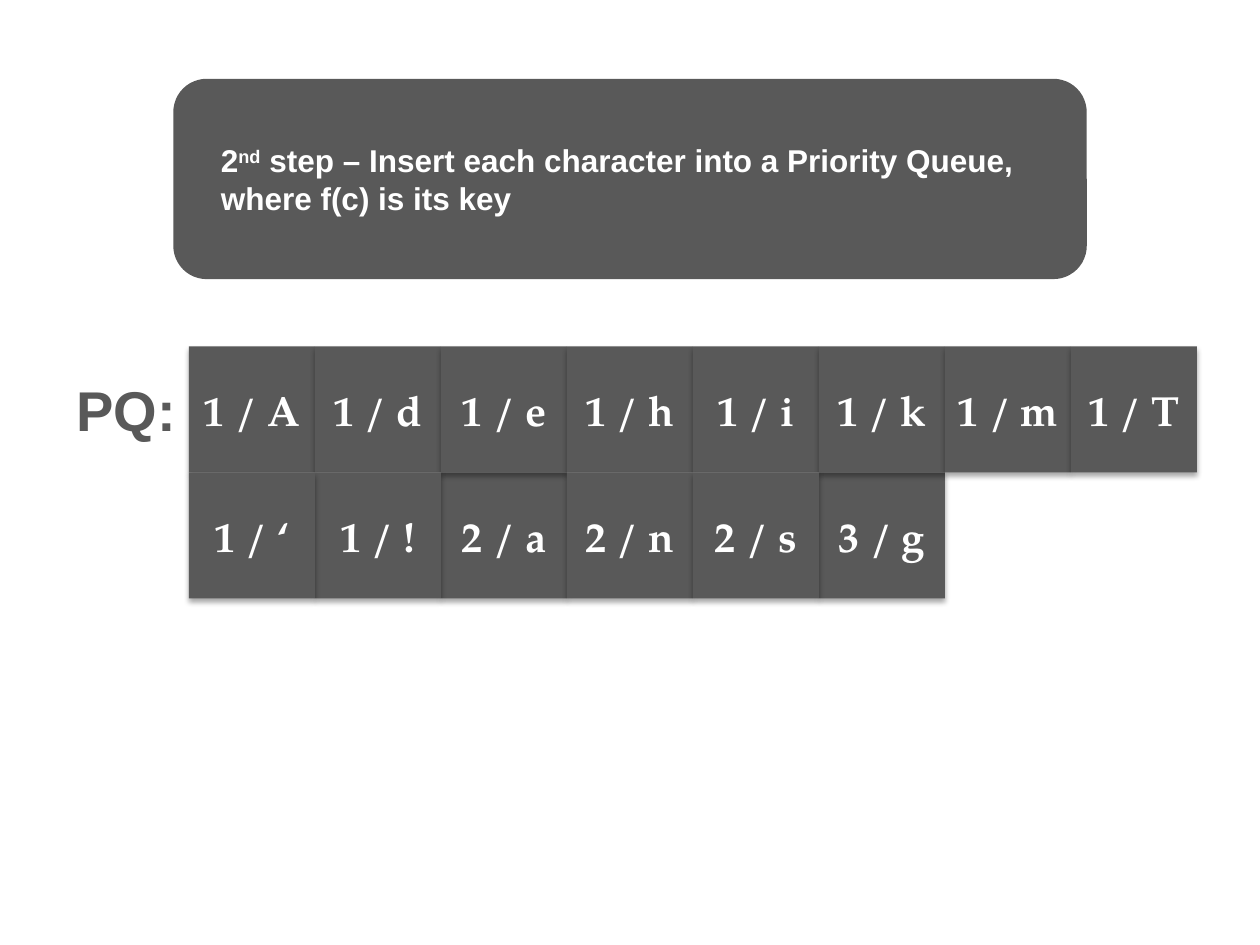
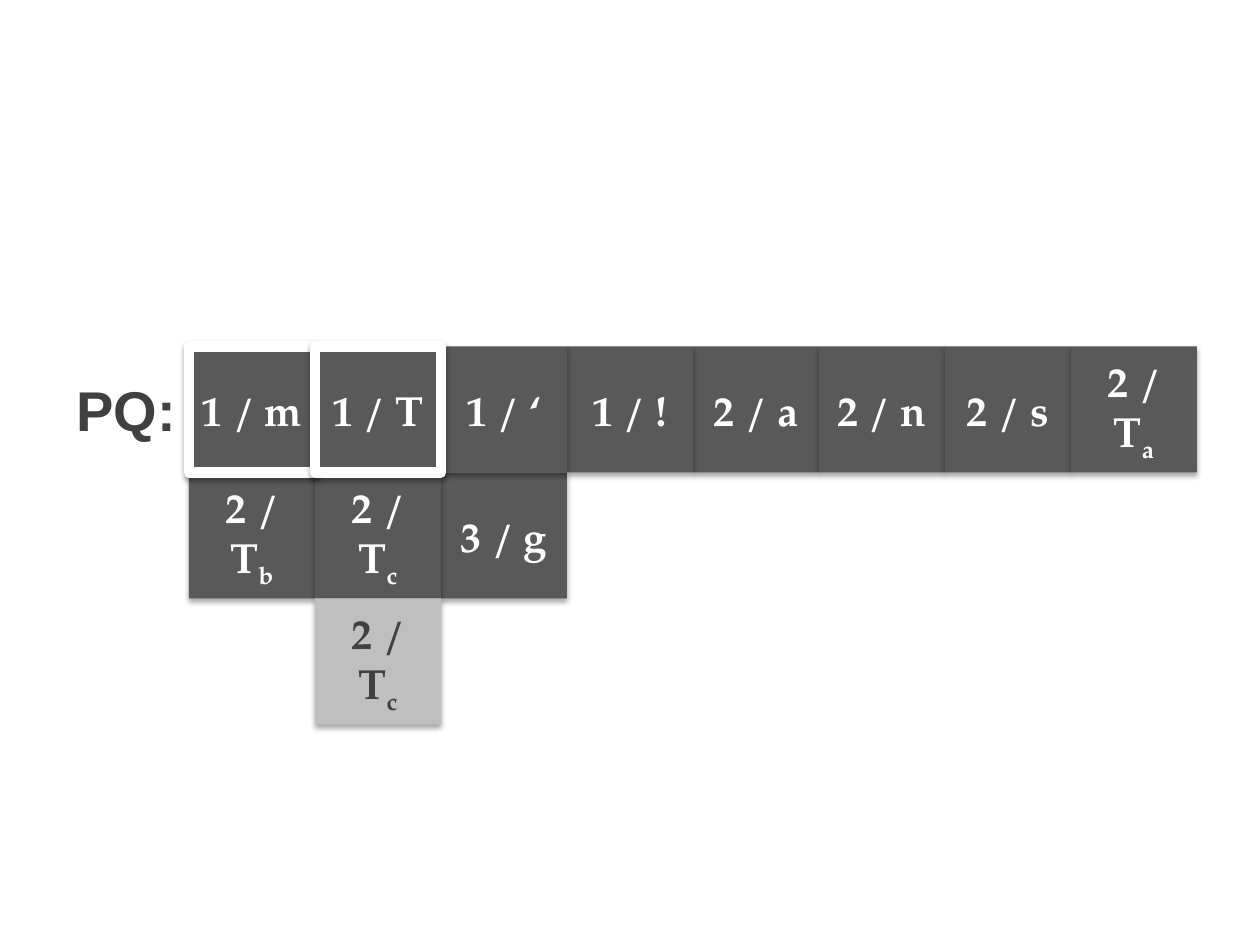
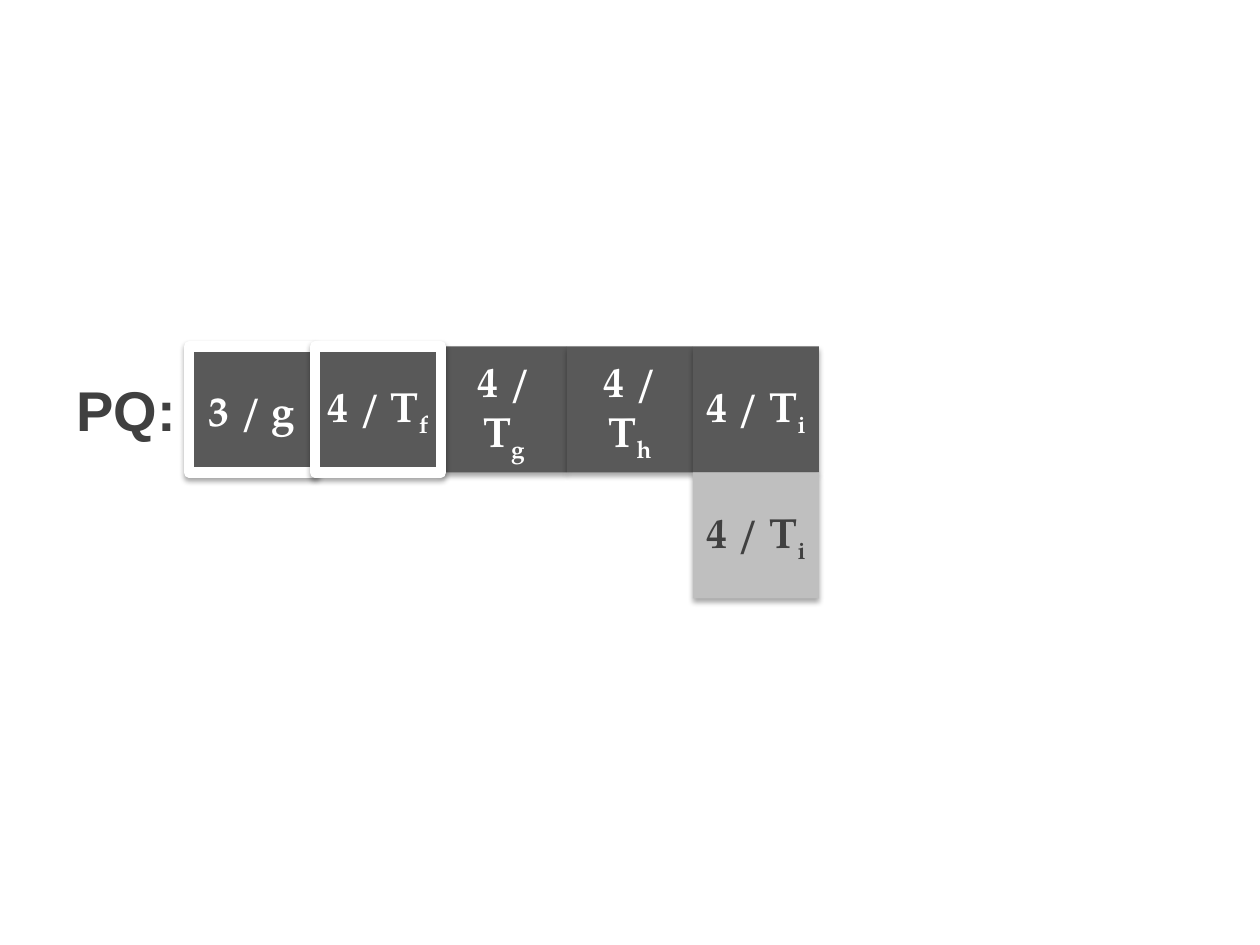
from lxml.etree import SubElement
from pptx import Presentation
from pptx.dml.color import RGBColor
from pptx.enum.shapes import MSO_SHAPE
from pptx.enum.text import MSO_ANCHOR, PP_ALIGN
from pptx.oxml.ns import qn
from pptx.util import Pt

WHITE = RGBColor(0xFF, 0xFF, 0xFF)
SILVER = RGBColor(0xBF, 0xBF, 0xBF)
GRAY = RGBColor(0x59, 0x59, 0x59)
CHARCOAL = RGBColor(0x40, 0x40, 0x40)
SANS = "Arial"
SERIF = "TeX Gyre Pagella"

CELL = 72
COLUMNS = 8
QUEUE_LEFT, QUEUE_TOP = 108, 198
SUPERSCRIPT, SUBSCRIPT = 30, -25

STEP_TITLE = [
    ("2", 0),
    ("nd", SUPERSCRIPT),
    (" step – Insert each character into a Priority Queue, where f(c) is its key", 0),
]

# Entries are "frequency / character"; what follows an underscore is a subscript.
# "removed" counts the outlined entries at the front of the queue;
# "inserted" is the position of the entry that is shown again one row below.
SLIDES = [
    {
        "title": STEP_TITLE,
        "label_color": GRAY,
        "queue": ["1 / A", "1 / d", "1 / e", "1 / h", "1 / i", "1 / k", "1 / m", "1 / T",
                  "1 / ‘", "1 / !", "2 / a", "2 / n", "2 / s", "3 / g"],
    },
    {
        "label_color": CHARCOAL,
        "queue": ["1 / m", "1 / T", "1 / ‘", "1 / !", "2 / a", "2 / n", "2 / s", "2 / T_a",
                  "2 / T_b", "2 / T_c", "3 / g"],
        "removed": 2,
        "inserted": 9,
    },
    {
        "label_color": CHARCOAL,
        "queue": ["3 / g", "4 / T_f", "4 / T_g", "4 / T_h", "4 / T_i"],
        "removed": 2,
        "inserted": 4,
    },
]


def write(shape, spans, font_name, size, color, align):
    """Fill the shape with one bold paragraph made of (text, baseline) spans."""
    frame = shape.text_frame
    frame.word_wrap = True
    frame.vertical_anchor = MSO_ANCHOR.MIDDLE
    para = frame.paragraphs[0]
    para.alignment = align
    para.font.name = font_name
    para.font.size = Pt(size)
    para.font.bold = True
    para.font.color.rgb = color
    for text, baseline in spans:
        span = para.add_run()
        span.text = text
        if baseline:
            span.font._element.set("baseline", str(baseline * 1000))
    return para


def add_plain_shape(page, kind, left, top, width, height, fill):
    shape = page.shapes.add_shape(kind, Pt(left), Pt(top), Pt(width), Pt(height))
    shape.shadow.inherit = False
    shape.fill.solid()
    shape.fill.fore_color.rgb = fill
    shape.line.fill.background()
    return shape


def add_soft_shadow(shape):
    effects = shape._element.spPr.find(qn("a:effectLst"))
    shadow = SubElement(effects, qn("a:outerShdw"), blurRad=str(Pt(3.15)),
                        dist=str(Pt(1.8)), dir="5400000", rotWithShape="0")
    color = SubElement(shadow, qn("a:srgbClr"), val="000000")
    SubElement(color, qn("a:alpha"), val="35000")


def add_entry(page, entry, position, rows_below=0, fill=GRAY, color=WHITE, outlined=False):
    row, column = divmod(position, COLUMNS)
    box = add_plain_shape(page, MSO_SHAPE.RECTANGLE, QUEUE_LEFT + column * CELL,
                          QUEUE_TOP + (row + rows_below) * CELL, CELL, CELL, fill)
    add_soft_shadow(box)
    if outlined:
        box.line.color.rgb = WHITE
        box.line.width = Pt(6)
    main, _, subscript = entry.partition("_")
    spans = [(main, 0)]
    if subscript:
        spans.append((subscript, SUBSCRIPT))
    write(box, spans, SERIF, 24, color, PP_ALIGN.CENTER)


def add_queue(page, queue, removed=0, inserted=None):
    def stacking_key(position):
        """Outlined entries lie on top, then subtrees, symbols and letters."""
        name = queue[position].split(" / ")[1]
        return (position < removed, "_" in name, not name[0].isalpha(),
                name.lower(), name.isupper())

    for position in sorted(range(len(queue)), key=stacking_key):
        add_entry(page, queue[position], position, outlined=position < removed)
    if inserted is not None:
        add_entry(page, queue[inserted], inserted, rows_below=1, fill=SILVER, color=CHARCOAL)


def add_queue_label(page, color):
    label = page.shapes.add_textbox(Pt(QUEUE_LEFT - CELL), Pt(QUEUE_TOP), Pt(CELL), Pt(CELL))
    write(label, [("PQ:", 0)], SANS, 32, color, PP_ALIGN.CENTER)


def add_title(page, spans):
    banner = add_plain_shape(page, MSO_SHAPE.ROUNDED_RECTANGLE, 99, 45, 522, 114.5, GRAY)
    banner.text_frame.margin_left = Pt(21.6)
    para = write(banner, spans, SANS, 18, WHITE, PP_ALIGN.LEFT)
    para.space_after = Pt(18)


def main():
    deck = Presentation()
    deck.slide_width, deck.slide_height = Pt(720), Pt(540)
    for content in SLIDES:
        page = deck.slides.add_slide(deck.slide_layouts[6])
        add_queue(page, content["queue"], content.get("removed", 0), content.get("inserted"))
        add_queue_label(page, content["label_color"])
        if "title" in content:
            add_title(page, content["title"])
    deck.save("out.pptx")


if __name__ == "__main__":
    main()
